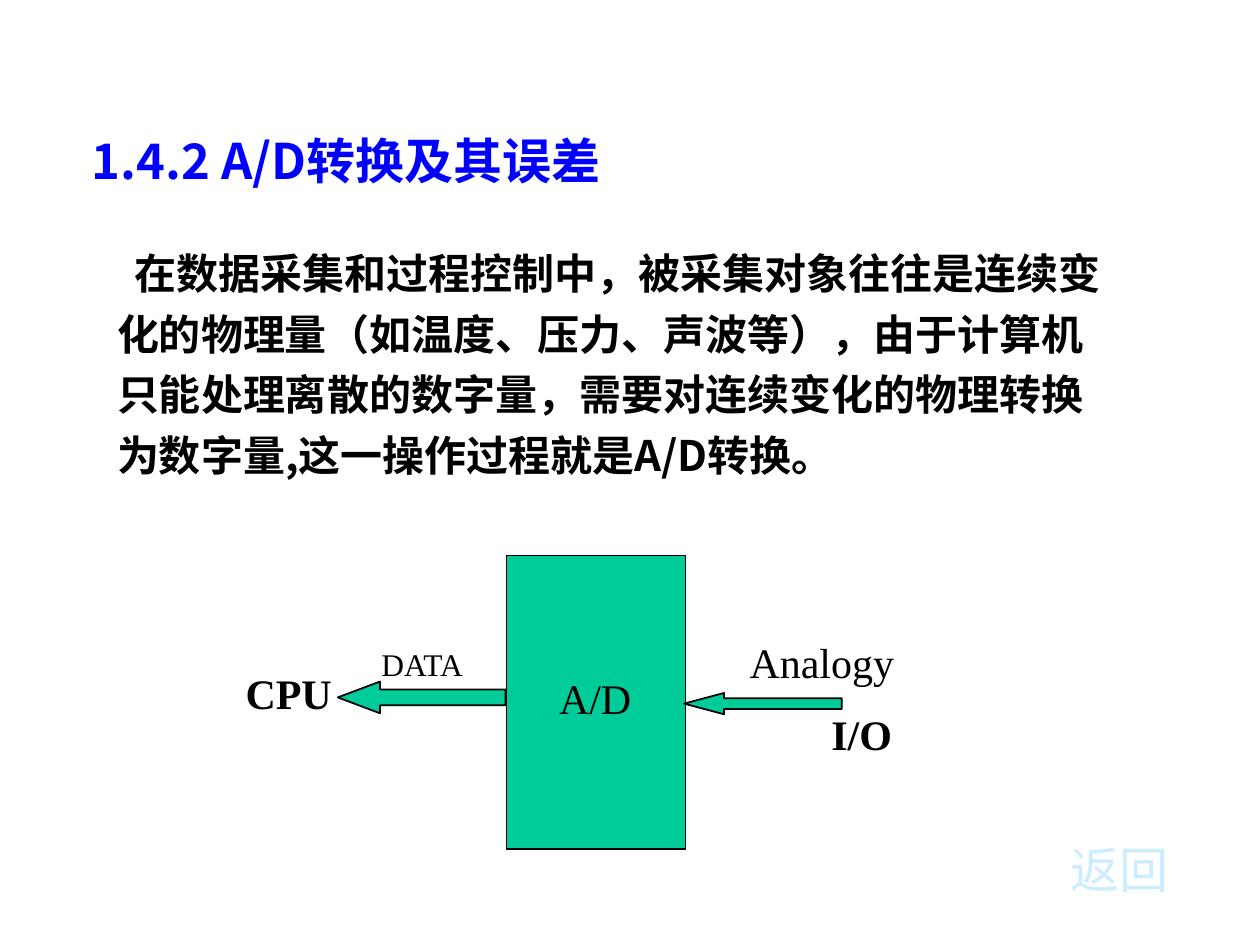
import pptx
import pptx.util
import pptx.dml.color
import pptx.enum.shapes
import pptx.enum.text
import pptx.oxml.ns
import lxml.etree

Cm, Pt = pptx.util.Cm, pptx.util.Pt
KIND = pptx.enum.shapes.MSO_SHAPE
ANCHOR = pptx.enum.text.MSO_ANCHOR
HUES = {"title": "0000FF", "ink": "000000", "green": "00CC99", "link": "CCECFF"}
HAN, LATIN = "Noto Sans CJK SC", "Times New Roman"


def hue(name):
    return pptx.dml.color.RGBColor.from_string(HUES[name])


def put(item, values):
    for key, value in values.items():
        setattr(item, key, value)


class Page:
    """Holds the style and the current slide."""

    def __init__(self, slide):
        self.slide = slide
        self.line = Pt(1)

    def text(self, words, box, size=24, font=LATIN, color="ink", bold=False,
             anchor=ANCHOR.TOP, lines=1.0, indent=0):
        shape = self.slide.shapes.add_textbox(*map(Cm, box))
        frame = shape.text_frame
        put(frame, {"word_wrap": True, "vertical_anchor": anchor})
        para = frame.paragraphs[0]
        para.line_spacing = lines
        if indent:
            para._p.get_or_add_pPr().set("indent", str(Cm(indent)))
        run = para.add_run()
        run.text = words
        put(run.font, {"name": font, "size": Pt(size), "bold": bold})
        run.font.color.rgb = hue(color)
        east = lxml.etree.SubElement(run._r.get_or_add_rPr(), pptx.oxml.ns.qn("a:ea"))
        east.set("typeface", font)

    def block(self, kind, box, ratios=()):
        """Add a green shape; ratios are its adjustment values."""
        shape = self.slide.shapes.add_shape(kind, *map(Cm, box))
        shape.shadow.inherit = False
        shape.fill.solid()
        shape.fill.fore_color.rgb = hue("green")
        shape.line.color.rgb = hue("ink")
        shape.line.width = self.line
        for spot, ratio in enumerate(ratios):
            shape.adjustments[spot] = ratio


def main():
    deck = pptx.Presentation()
    put(deck, {"slide_width": Cm(25.4), "slide_height": Cm(19.05)})
    page = Page(deck.slides.add_slide(deck.slide_layouts[6]))

    page.text("1.4.2 A/D转换及其误差", (1.6, 2.06, 22.22, 1.88), size=28,
              font=HAN, color="title", bold=True, anchor=ANCHOR.BOTTOM)
    page.text("在数据采集和过程控制中，被采集对象往往是连续变化的物理量"
              "（如温度、压力、声波等），由于计算机只能处理离散的数字量，"
              "需要对连续变化的物理转换为数字量,这一操作过程就是A/D转换。",
              (2.11, 4.67, 20.4, 5.13), font=HAN, bold=True, lines=1.2, indent=0.35)

    page.block(KIND.RECTANGLE, (10.21, 11.2, 3.61, 5.92))
    page.block(KIND.LEFT_ARROW, (6.81, 13.74, 3.38, 0.64), (0.5, 1.33))
    page.block(KIND.LEFT_ARROW, (13.79, 13.97, 3.18, 0.43), (0.5, 1.88))

    labels = [
        ("Analogy", (14.86, 12.7, 4.45, 1.27), 24, False),
        ("DATA", (7.44, 12.88, 2.34, 1.02), 18, False),
        ("A/D", (11.02, 13.44, 3.18, 1.27), 24, False),
        ("CPU", (4.7, 13.34, 4.01, 1.27), 24, True),
        ("I/O", (16.51, 14.15, 3.38, 1.27), 24, True),
    ]
    for words, box, size, bold in labels:
        page.text(words, box, size=size, bold=bold)

    page.text("返回", (21.34, 16.82, 3, 1.4), size=28, font=HAN, color="link",
              anchor=ANCHOR.MIDDLE)
    deck.save("out.pptx")


if __name__ == "__main__":
    main()
